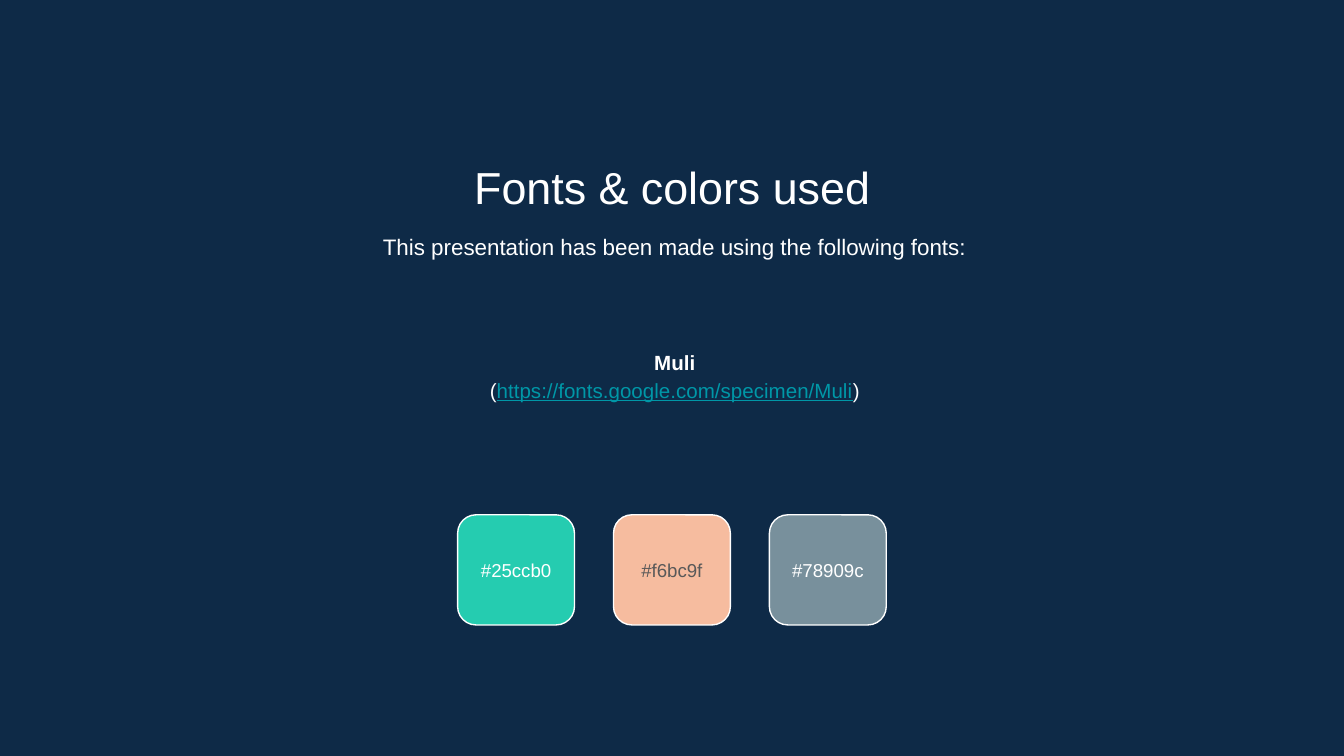
from pptx import Presentation
from pptx.dml.color import RGBColor
from pptx.enum import shapes, text
from pptx.util import Pt

WHITE = "FFFFFF"
NAVY = "0E2A47"
GREY = "595959"
LINK = "0097A7"

TITLE = "Fonts & colors used"
INTRO = "This presentation has been made using the following fonts:"
FONT_NAME = "Muli"
FONT_URL = "https://fonts.google.com/specimen/Muli"
SWATCHES = [("25ccb0", WHITE), ("f6bc9f", GREY), ("78909c", WHITE)]

SLIDE_W, SLIDE_H = 720, 405
SWATCH_W, SWATCH_H, SWATCH_TOP, SWATCH_PITCH = 62.6, 59, 275.8, 83.5


def colour(hex_code):
    return RGBColor.from_string(hex_code.upper())


def write(holder, paragraphs, size, color=WHITE, spacing=1.0,
          anchor=text.MSO_ANCHOR.MIDDLE, top=7.2):
    frame = holder.text_frame
    frame.word_wrap = True
    frame.auto_size = text.MSO_AUTO_SIZE.NONE
    frame.vertical_anchor = anchor
    frame.margin_left = frame.margin_right = frame.margin_bottom = Pt(7.2)
    frame.margin_top = Pt(top)
    for index, pieces in enumerate(paragraphs):
        line = frame.add_paragraph() if index else frame.paragraphs[0]
        line.alignment = text.PP_ALIGN.CENTER
        line.line_spacing = spacing
        line.space_before = line.space_after = Pt(0)
        for wording, style in pieces:
            run = line.add_run()
            run.text = wording
            run.font.name = "Arial"
            run.font.size = Pt(size)
            run.font.bold = style.get("bold", False)
            run.font.underline = style.get("underline", False)
            run.font.color.rgb = colour(style.get("color", color))


deck = Presentation()
deck.slide_width, deck.slide_height = Pt(SLIDE_W), Pt(SLIDE_H)
slide = deck.slides.add_slide(deck.slide_layouts[5])
slide.background.fill.solid()
slide.background.fill.fore_color.rgb = colour(NAVY)

title = slide.shapes.title
title.left, title.top, title.width, title.height = map(Pt, (82.6, 74.9, 555, 38.2))
write(title, [[(TITLE, {})]], 24, anchor=text.MSO_ANCHOR.TOP, top=10.5)

intro = slide.shapes.add_textbox(*map(Pt, (84, 114.5, 555, 34.6)))
write(intro, [[(INTRO, {})]], 12, spacing=1.15, anchor=text.MSO_ANCHOR.TOP, top=8.5)

font_credit = slide.shapes.add_textbox(*map(Pt, (84, 151.2, 555, 98.6)))
write(font_credit, [
    [(FONT_NAME, {"bold": True})],
    [("(", {}), (FONT_URL, {"color": LINK, "underline": True}), (")", {})],
], 11, spacing=1.15)

row_width = SWATCH_PITCH * (len(SWATCHES) - 1) + SWATCH_W
row_left = (SLIDE_W - row_width) / 2
for column, (code, label_color) in enumerate(SWATCHES):
    swatch = slide.shapes.add_shape(
        shapes.MSO_SHAPE.ROUNDED_RECTANGLE,
        *map(Pt, (row_left + column * SWATCH_PITCH, SWATCH_TOP, SWATCH_W, SWATCH_H)))
    swatch.shadow.inherit = False
    swatch.fill.solid()
    swatch.fill.fore_color.rgb = colour(code)
    swatch.line.color.rgb = colour(WHITE)
    swatch.line.width = Pt(0.75)
    write(swatch, [[("#" + code, {})]], 10, color=label_color)

deck.save("out.pptx")
